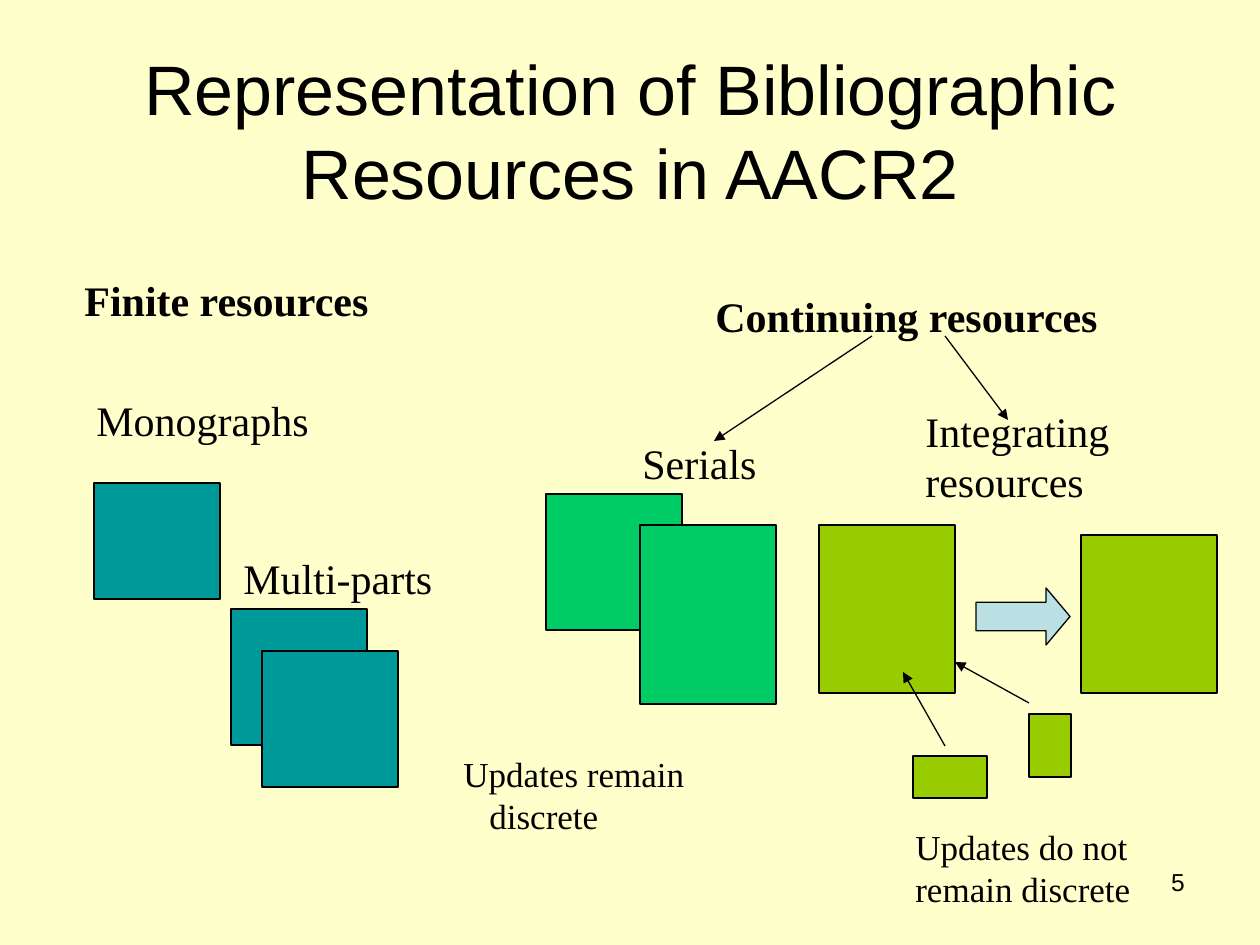
from lxml.etree import SubElement
from pptx import Presentation
from pptx.dml.color import RGBColor
from pptx.enum.shapes import MSO_CONNECTOR, MSO_SHAPE
from pptx.enum.text import MSO_ANCHOR, PP_ALIGN
from pptx.oxml.ns import qn
from pptx.util import Emu, Pt

SCALE = 914400 / 126
SQUARE = 136


def px(length):
    """Turn px into EMU."""
    return Emu(round(length * SCALE))


def paint(color, value):
    """Set a colour format from a hex string."""
    color.rgb = RGBColor.from_string(value)


def add_text(page, box, text, size=24, font="Times New Roman", bold=False,
             align=PP_ALIGN.LEFT, anchor=MSO_ANCHOR.TOP, indents=(), wrap=True):
    """Add a text box with one paragraph per line of text."""
    frame = page.shapes.add_textbox(*map(px, box)).text_frame
    frame.word_wrap = wrap
    frame.vertical_anchor = anchor
    for index, line in enumerate(text.split("\n")):
        para = frame.paragraphs[0] if index == 0 else frame.add_paragraph()
        para.alignment = align
        if index < len(indents):
            para._p.get_or_add_pPr().set("marL", str(px(indents[index])))
        span = para.add_run()
        span.text = line
        span.font.size = Pt(size)
        span.font.name = font
        span.font.bold = bold
        paint(span.font.color, "000000")


def add_block(page, box, fill, kind=MSO_SHAPE.RECTANGLE):
    """Add a filled shape with a thin black outline."""
    block = page.shapes.add_shape(kind, *map(px, box))
    block.shadow.inherit = False
    block.fill.solid()
    paint(block.fill.fore_color, fill)
    paint(block.line.color, "000000")
    block.line.width = Pt(0.75)
    return block


def add_arrow(page, start, end):
    """Add a thin black line with a triangle at its end."""
    arrow = page.shapes.add_connector(MSO_CONNECTOR.STRAIGHT, *map(px, start + end))
    paint(arrow.line.color, "000000")
    arrow.line.width = Pt(0.75)
    SubElement(arrow.line._get_or_add_ln(), qn("a:tailEnd"), type="triangle")
    SubElement(arrow._element.spPr, qn("a:effectLst"))


def add_finite(page, left, top):
    """Place the finite resources: monographs and multi-parts."""
    teal = "009999"
    add_text(page, (left, top, 311, 63), "Finite resources", bold=True, wrap=False)
    add_text(page, (left + 12, top + 120, 262, 63), "Monographs")
    add_block(page, (left + 22, top + 215, 126, 116), teal)
    add_text(page, (left + 159, top + 278, 273, 63), "Multi-parts")
    for across, down in ((159, 341), (190, 383)):
        add_block(page, (left + across, top + down, SQUARE, SQUARE), teal)


def add_continuing(page, left, top):
    """Place the continuing resources heading and its two branches."""
    add_text(page, (left, top, 494, 63), "Continuing resources", bold=True)
    add_arrow(page, (left + 169, top + 52), (left + 11, top + 157))
    add_arrow(page, (left + 242, top + 52), (left + 305, top + 136))


def add_serials(page, left, top):
    """Place the serials with their overlapping issues."""
    green = "00CC66"
    add_text(page, (left + 179, top, 147, 63), "Serials")
    add_block(page, (left + 95, top + 63, SQUARE, SQUARE), green)
    add_block(page, (left + 189, top + 94, SQUARE, 179), green)
    add_text(page, (left, top + 315, 252, 97), "Updates remain\ndiscrete",
             size=20, indents=(0, 26))


def add_integrating(page, left, top):
    """Place the integrating resources with updates merging into one."""
    lime = "99CC00"
    add_text(page, (left + 94, top, 305, 113), "Integrating resources".replace(" ", "\n"))
    for across, down, width, height in ((0, 126, SQUARE, 168), (262, 136, SQUARE, 158),
                                        (94, 357, 74, 42), (210, 315, 42, 63)):
        add_block(page, (left + across, top + down, width, height), lime)
    change = add_block(page, (left + 157, top + 189, 94, 57), "BBE0E3",
                       MSO_SHAPE.RIGHT_ARROW)
    change.adjustments[0] = 0.5
    change.adjustments[1] = 0.42
    add_arrow(page, (left + 210, top + 304), (left + 136, top + 263))
    add_arrow(page, (left + 126, top + 347), (left + 84, top + 273))
    add_text(page, (left + 84, top + 420, 242, 97), "Updates do not remain discrete", size=20)


def main():
    """Build the slide and save it."""
    deck = Presentation()
    deck.slide_width, deck.slide_height = px(1260), px(945)
    page = deck.slides.add_slide(deck.slide_layouts[6])
    page.background.fill.solid()
    paint(page.background.fill.fore_color, "FFFFCC")
    add_text(page, (63, 38, 1134, 183), "Representation of Bibliographic Resources in AACR2",
             size=40, font="Arial", align=PP_ALIGN.CENTER, anchor=MSO_ANCHOR.MIDDLE)
    add_finite(page, 72, 268)
    add_continuing(page, 703, 284)
    add_serials(page, 451, 431)
    add_integrating(page, 819, 399)
    add_text(page, (903, 861, 294, 66), "5", size=14, font="Arial", align=PP_ALIGN.RIGHT)
    deck.save("out.pptx")


if __name__ == "__main__":
    main()
